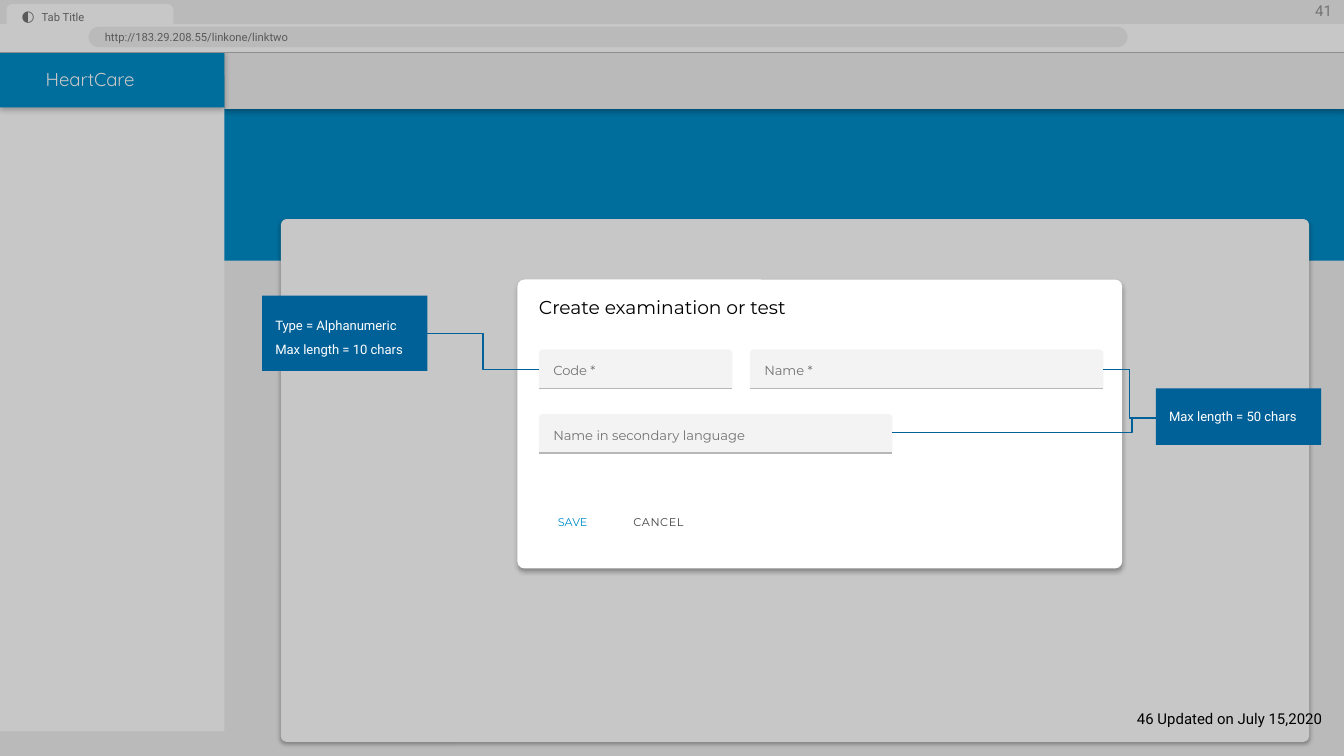
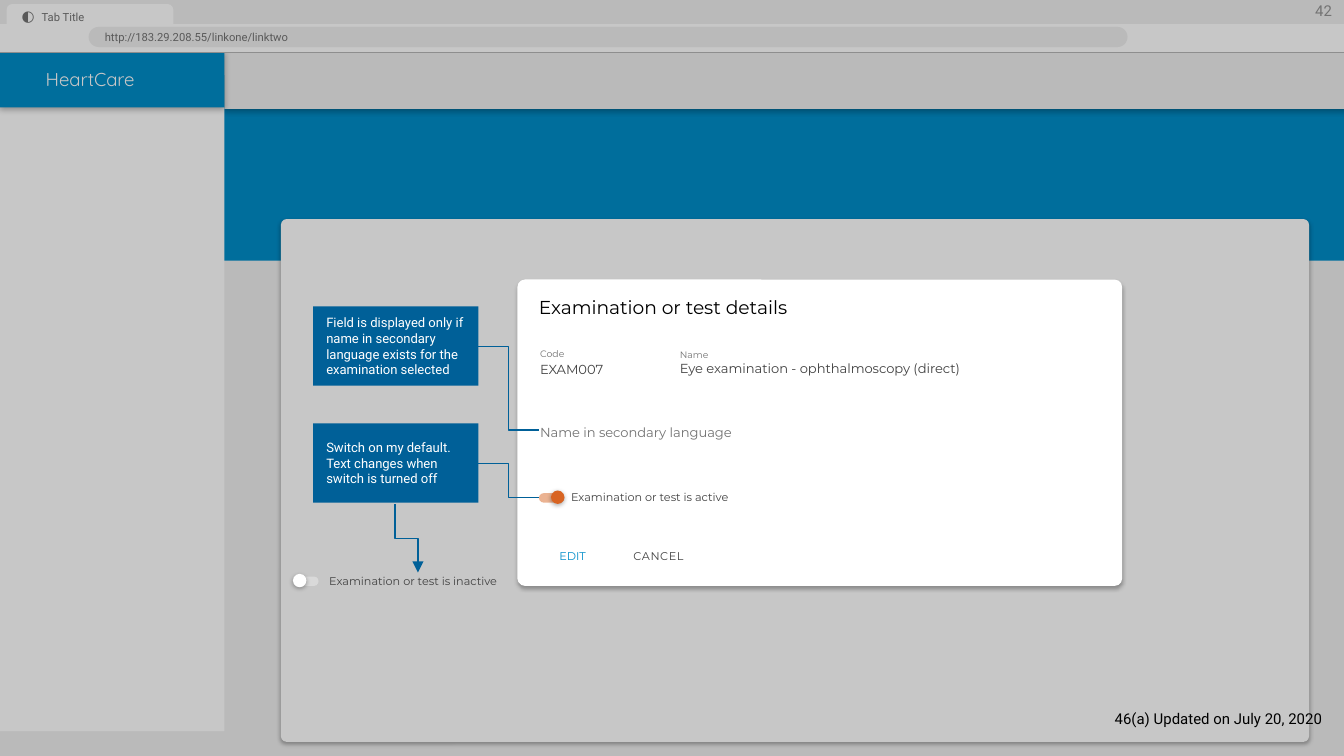
"""Build two annotated dialog mock-ups of a web application."""
import pptx
import pptx.dml.color
import pptx.enum.shapes
import pptx.enum.text
import pptx.oxml
import pptx.oxml.ns
import pptx.util
from lxml import etree

Inches = pptx.util.Inches
Shape = pptx.enum.shapes.MSO_SHAPE
Connector = pptx.enum.shapes.MSO_CONNECTOR
Align = pptx.enum.text.PP_ALIGN
Anchor = pptx.enum.text.MSO_ANCHOR
qn = pptx.oxml.ns.qn

COLORS = {
    "page": "EFEFEF", "white": "FFFFFF", "black": "000000", "brand": "008DC9",
    "callout": "006098", "grey": "737373", "dark": "424242", "rule": "B7B7B7",
    "field": "F3F3F3", "off": "D9D9D9", "on": "D86422",
}
WIDTH = 10
HEIGHT = WIDTH * 9 / 16
DIALOG_LEFT, DIALOG_TOP, DIALOG_WIDTH = 3.85, 2.08, 4.5
FIELD_LEFT, FIELD_HEIGHT = 4.01, 0.29
CALLOUT_WIDTH = 1.23
CARD_SHADOW = (2.2, 1.5)
BAR_SHADOW = (3.4, 0.8)
KNOB_SHADOW = (2.2, 0.8)


def rgb(name):
    return pptx.dml.color.RGBColor.from_string(COLORS[name])


def add_child(parent, tag, **attributes):
    values = {key: str(value) for key, value in attributes.items()}
    return etree.SubElement(parent, qn(tag), values)


def add_box(slide, bounds, fill, geometry=Shape.RECTANGLE, corners=(), shadow=None, opacity=None):
    shape = slide.shapes.add_shape(geometry, *map(Inches, bounds))
    for index, corner in enumerate(corners):
        shape.adjustments[index] = corner
    shape.line.fill.background()
    shape.fill.solid()
    shape.fill.fore_color.rgb = rgb(fill)
    properties = shape.element.spPr
    if opacity:
        color = properties.find(qn("a:solidFill"))[0]
        add_child(color, "a:alpha", val=opacity * 1000)
    shape.shadow.inherit = False
    if shadow:
        blur, distance = (pptx.util.Pt(value) for value in shadow)
        outer = add_child(properties.find(qn("a:effectLst")), "a:outerShdw",
                          blurRad=blur, dist=distance, dir=5400000, algn="t", rotWithShape=0)
        color = add_child(outer, "a:srgbClr", val=COLORS["black"])
        add_child(color, "a:alpha", val=30000)
    return shape


def style_paragraph(paragraph, size, color, font):
    for run in paragraph.runs:
        style_run(run, size, color, font)


def style_run(run, size, color, font):
    run.font.size = pptx.util.Pt(size)
    run.font.name = font
    run.font.color.rgb = rgb(color)


def write_text(shape, lines, size, color, font="Roboto", align=Align.LEFT,
               anchor=Anchor.MIDDLE, insets=(0.1, 0, 0.1, 0), spacing=1.0):
    frame = shape.text_frame
    frame.text = "\n".join(lines)
    frame.word_wrap = True
    frame.auto_size = pptx.enum.text.MSO_AUTO_SIZE.NONE
    frame.vertical_anchor = anchor
    frame.margin_left, frame.margin_top, frame.margin_right, frame.margin_bottom = map(Inches, insets)
    for paragraph in frame.paragraphs:
        paragraph.alignment = align
        paragraph.line_spacing = spacing
        style_paragraph(paragraph, size, color, font)


def add_label(slide, bounds, text, size, color, **options):
    label = slide.shapes.add_textbox(*map(Inches, bounds))
    write_text(label, [text], size, color, **options)
    return label


def add_line(slide, start, end, color, kind=Connector.STRAIGHT, bend=None):
    line = slide.shapes.add_connector(kind, *map(Inches, (*start, *end)))
    line.line.color.rgb = rgb(color)
    line.line.width = pptx.util.Pt(0.75)
    properties = line.element.spPr
    add_child(properties, "a:effectLst")
    if bend:
        guides = properties.find(qn("a:prstGeom")).find(qn("a:avLst"))
        add_child(guides, "a:gd", name="adj1", fmla=f"val {round(bend * 100000)}")
    return line


def add_elbow(slide, start, end, bend=None):
    return add_line(slide, start, end, "callout", Connector.ELBOW, bend)


def add_down_arrow(slide, start, end):
    """Draw an elbow that leaves downwards, as a sideways elbow turned by 90 degrees."""
    center_x, center_y = (start[0] + end[0]) / 2, (start[1] + end[1]) / 2
    half_run, half_rise = (end[1] - start[1]) / 2, (end[0] - start[0]) / 2
    arrow = add_elbow(slide, (center_x - half_run, center_y + half_rise),
                      (center_x + half_run, center_y - half_rise))
    arrow.rotation = 90
    add_child(arrow.element.spPr.find(qn("a:ln")), "a:tailEnd", type="triangle")


def add_callout(slide, left, top, height, lines, spacing=1.0):
    callout = add_box(slide, (left, top, CALLOUT_WIDTH, height), "callout")
    write_text(callout, lines, 7, "white", spacing=spacing)


def add_field(slide, left, top, width, lines, fill="field", color="grey", inset=0.1):
    field = add_box(slide, (left, top, width, FIELD_HEIGHT), fill,
                    Shape.ROUND_2_SAME_RECTANGLE, (0.106, 0))
    write_text(field, lines, 7, color, font="Montserrat", insets=(inset, 0, 0.1, 0), spacing=1.15)
    return field


def add_input(slide, left, top, width, prompt):
    add_field(slide, left, top, width, [prompt])
    bottom = top + FIELD_HEIGHT
    add_line(slide, (left, bottom), (left + width, bottom), "rule")


def add_detail(slide, left, width, caption, value, value_spacing=1.15):
    field = add_field(slide, left, 2.54, width, [caption, value], "white", "dark", inset=0)
    caption_paragraph, value_paragraph = field.text_frame.paragraphs
    style_paragraph(caption_paragraph, 5, "grey", "Montserrat")
    value_paragraph.line_spacing = value_spacing


def add_switch(slide, left, top, knob_offset, track, knob, text, text_left, opacity=None):
    pill = {"geometry": Shape.ROUNDED_RECTANGLE, "corners": (0.5,)}
    add_box(slide, (left, top + 0.02, 0.19, 0.07), track, opacity=opacity, **pill)
    add_box(slide, (left + knob_offset, top, 0.1, 0.1), knob, shadow=KNOB_SHADOW, **pill)
    add_label(slide, (text_left, top - 0.01, 1.44, 0.12), text, 6, "dark",
              font="Montserrat", insets=(0, 0, 0, 0))


def add_buttons(slide, top, action):
    buttons = ((3.97, 0.58, action, "brand"), (4.63, 0.54, "CANCEL", "dark"))
    for left, width, text, color in buttons:
        button = add_label(slide, (left, top, width, 0.21), text, 6, color, font="Montserrat",
                           align=Align.CENTER, insets=(0, 0, 0, 0))
    run = button.text_frame.paragraphs[0].runs[0]
    run._r.get_or_add_rPr().set("spc", "30")


def add_backdrop(slide):
    """Draw the dimmed browser window and move it to the layout that all slides share."""
    layout = slide.slide_layout
    layout.background.fill.solid()
    layout.background.fill.fore_color.rgb = rgb("page")
    for placeholder in list(layout.placeholders):
        if placeholder.placeholder_format.idx:
            layout.shapes.element.remove(placeholder.element)

    add_box(slide, (1.6, 0.56, 8.41, 1.38), "brand")
    add_box(slide, (2.09, 1.63, 7.65, 3.89), "white", Shape.ROUNDED_RECTANGLE, (0.011,), CARD_SHADOW)
    add_box(slide, (1.67, 0.39, 8.34, 0.42), "page", shadow=BAR_SHADOW)
    add_box(slide, (0, 0.39, 1.67, 5.05), "white")
    add_box(slide, (0, 0.38, 1.67, 0.42), "brand", shadow=BAR_SHADOW)
    add_box(slide, (0, 0.18, WIDTH, 0.21), "white")
    add_tab(slide)
    address = add_box(slide, (0.66, 0.2, 7.73, 0.15), "page", Shape.ROUNDED_RECTANGLE, (0.5,))
    write_text(address, ["http://183.29.208.55/linkone/linktwo"], 6, "grey")
    add_line(slide, (0, 0.39), (WIDTH, 0.39), "rule")
    add_label(slide, (0.34, 0.39, 1, 0.4), "HeartCare", 10, "white", font="Quicksand",
              insets=(0, 0, 0.1, 0))
    add_box(slide, (0, 0, WIDTH, HEIGHT), "black", opacity=22)

    for shape in list(slide.shapes):
        if not shape.is_placeholder:
            layout.shapes.element.append(shape.element)


def add_tab(slide):
    tab = add_box(slide, (0.05, 0.03, 1.24, 0.25), "white", Shape.ROUND_2_SAME_RECTANGLE, (0.167, 0))
    write_text(tab, ["◐"], 8, "grey", anchor=Anchor.BOTTOM, insets=(0.1, 0, 0.1, 0.1))
    paragraph = tab.text_frame.paragraphs[0]
    stops = add_child(paragraph._p.get_or_add_pPr(), "a:tabLst")
    add_child(stops, "a:tab", pos=Inches(0.15), algn="l")
    run = paragraph.add_run()
    run.text = "\tTab Title"
    style_run(run, 6, "grey", "Roboto")


def start_dialog(slide, number, title_text, height, revision):
    add_label(slide, (9.41, 0, 0.6, 0.16), number, 8, "grey", align=Align.RIGHT)
    add_box(slide, (DIALOG_LEFT, DIALOG_TOP, DIALOG_WIDTH, height), "white",
            Shape.ROUNDED_RECTANGLE, (0.025,), CARD_SHADOW)
    title = slide.shapes.title
    title.left, title.top = Inches(FIELD_LEFT), Inches(DIALOG_TOP)
    title.width, title.height = Inches(4.2), Inches(0.4)
    write_text(title, [title_text], 10, "black", font="Montserrat", anchor=Anchor.TOP,
               insets=(0, 0.12, 0, 0))
    slide.shapes.element.append(title.element)
    add_label(slide, (7.45, 5.18, 2.55, 0.29), revision, 8, "black", align=Align.RIGHT,
              anchor=Anchor.TOP, insets=(0.1, 0.1, 0.16, 0.1))


def build_create_slide(slide):
    start_dialog(slide, "41", "Create examination or test", 2.15, "46 Updated on July 15,2020")
    add_buttons(slide, 3.78, "SAVE")
    add_input(slide, FIELD_LEFT, 2.6, 1.44, "Code *")
    add_input(slide, 5.58, 2.6, 2.63, "Name *")
    add_input(slide, FIELD_LEFT, 3.08, 2.63, "Name in secondary language")
    add_callout(slide, 1.95, 2.2, 0.56, ["Type = Alphanumeric", "Max length = 10 chars"], 1.5)
    add_elbow(slide, (3.18, 2.48), (FIELD_LEFT, 2.75))
    add_callout(slide, 8.6, 2.89, 0.42, ["Max length = 50 chars"])
    add_elbow(slide, (8.6, 3.11), (8.21, 2.75))
    add_elbow(slide, (8.6, 3.11), (6.64, 3.22), bend=0.09)


def build_details_slide(slide):
    start_dialog(slide, "42", "Examination or test details", 2.28, "46(a) Updated on July 20, 2020")
    add_buttons(slide, 4.03, "EDIT")
    add_detail(slide, FIELD_LEFT, 1, "Code", "EXAM007")
    add_detail(slide, 5.05, 2.63, "Name", "Eye examination - ophthalmoscopy (direct)", 1.0)
    add_field(slide, FIELD_LEFT, 3.06, 2.55, ["Name in secondary language"], "white", inset=0)
    add_callout(slide, 2.33, 2.28, 0.59, [
        "Field is displayed only if name in secondary language exists for the examination selected"])
    add_elbow(slide, (FIELD_LEFT, 3.2), (3.56, 2.58))
    add_callout(slide, 2.33, 3.15, 0.59, [
        "Switch on my default. Text changes when switch is turned off"])
    add_elbow(slide, (FIELD_LEFT, 3.7), (3.56, 3.45))
    add_down_arrow(slide, (2.94, 3.75), (3.11, 4.26))
    add_switch(slide, 2.18, 4.27, 0, "off", "white", "Examination or test is inactive", 2.45)
    add_switch(slide, FIELD_LEFT, 3.65, 0.09, "on", "on", "Examination or test is active", 4.25, 49)


def main():
    presentation = pptx.Presentation()
    presentation.slide_width, presentation.slide_height = Inches(WIDTH), Inches(HEIGHT)
    title_only = presentation.slide_layouts[5]
    create_slide = presentation.slides.add_slide(title_only)
    add_backdrop(create_slide)
    build_create_slide(create_slide)
    build_details_slide(presentation.slides.add_slide(title_only))
    presentation.save("out.pptx")


if __name__ == "__main__":
    main()
